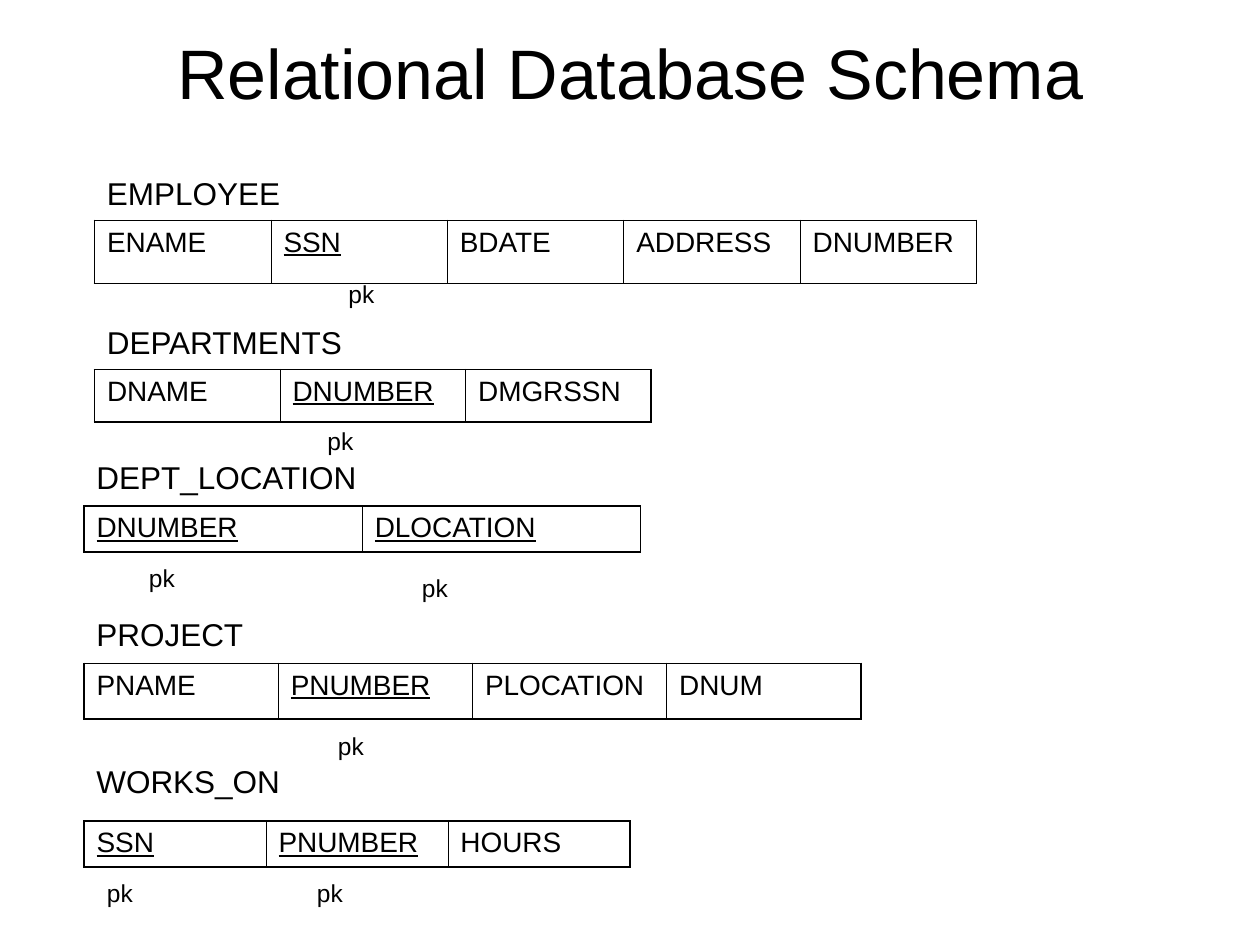
import pptx
import pptx.dml.color
import pptx.enum.text
import pptx.oxml
import pptx.oxml.ns
import pptx.util

TITLE = "Relational Database Schema"
FONT = "Arial"
BLACK = "000000"
OUTER_LINE, INNER_LINE = 1.08, 0.45  # points

# All places and sizes are in grid steps of 1/12 inch.
# keys: columns of the primary key; marks: left and top of each "pk" label
RELATIONS = [
    dict(name="EMPLOYEE", left=9, name_top=16, name_width=24,
         top=21, column_width=16.8, height=6,
         columns=["ENAME", "SSN", "BDATE", "ADDRESS", "DNUMBER"],
         keys=["SSN"], marks=[(32, 26)]),
    dict(name="DEPARTMENTS", left=9, name_top=30.2, name_width=30,
         top=35.2, column_width=17.67, height=5,
         columns=["DNAME", "DNUMBER", "DMGRSSN"],
         keys=["DNUMBER"], marks=[(30, 40)]),
    dict(name="DEPT_LOCATION", left=8, name_top=43, name_width=30,
         top=48.2, column_width=26.5, height=4.4,
         columns=["DNUMBER", "DLOCATION"],
         keys=["DNUMBER", "DLOCATION"], marks=[(13, 53), (39, 54)]),
    dict(name="PROJECT", left=8, name_top=58, name_width=30,
         top=63.2, column_width=18.5, height=5.3,
         columns=["PNAME", "PNUMBER", "PLOCATION", "DNUM"],
         keys=["PNUMBER"], marks=[(31, 69)]),
    dict(name="WORKS_ON", left=8, name_top=72, name_width=30,
         top=78.2, column_width=17.33, height=4.4,
         columns=["SSN", "PNUMBER", "HOURS"],
         keys=["SSN", "PNUMBER"], marks=[(9, 83), (29, 83)]),
]


def grid(steps):
    return pptx.util.Inches(steps / 12)


def color(value):
    return pptx.dml.color.RGBColor.from_string(value)


def write(text_frame, text, size, underline=False, align=None):
    paragraph = text_frame.paragraphs[0]
    paragraph.alignment = align
    run = paragraph.add_run()
    run.text = text
    run.font.name = FONT
    run.font.size = pptx.util.Pt(size)
    run.font.underline = underline
    run.font.color.rgb = color(BLACK)


def add_label(slide, text, left, top, width, height, size):
    shape = slide.shapes.add_textbox(grid(left), grid(top), grid(width), grid(height))
    shape.text_frame.word_wrap = True
    write(shape.text_frame, text, size)


def set_borders(cell, **widths):
    properties = cell._tc.get_or_add_tcPr()
    for index, (side, width) in enumerate(widths.items()):
        line = pptx.oxml.parse_xml(
            f'<a:ln{side} {pptx.oxml.ns.nsdecls("a")} w="{pptx.util.Pt(width)}">'
            f'<a:solidFill><a:srgbClr val="{BLACK}"/></a:solidFill></a:ln{side}>')
        properties.insert(index, line)


def add_relation(slide, relation):
    columns = relation["columns"]
    last = len(columns) - 1
    frame = slide.shapes.add_table(
        1, len(columns), grid(relation["left"]), grid(relation["top"]),
        grid(relation["column_width"] * len(columns)), grid(relation["height"]))
    table = frame.table
    table.first_row = table.horz_banding = False
    for index, name in enumerate(columns):
        table.columns[index].width = grid(relation["column_width"])
        cell = table.cell(0, index)
        cell.fill.background()
        set_borders(cell,
                    L=OUTER_LINE if index == 0 else INNER_LINE,
                    R=OUTER_LINE if index == last else INNER_LINE,
                    T=OUTER_LINE, B=OUTER_LINE)
        write(cell.text_frame, name, 16, underline=name in relation["keys"])


def main():
    presentation = pptx.Presentation()
    presentation.slide_width = pptx.util.Inches(10)
    presentation.slide_height = pptx.util.Inches(7.5)
    slide = presentation.slides.add_slide(presentation.slide_layouts[5])

    # Title
    title = slide.shapes.title
    title.left, title.top, title.width, title.height = map(grid, (6, 3.6, 108, 6.4))
    title.text_frame.vertical_anchor = pptx.enum.text.MSO_ANCHOR.MIDDLE
    write(title.text_frame, TITLE, 40, align=pptx.enum.text.PP_ALIGN.CENTER)

    # Relations with their names and primary key marks
    for relation in RELATIONS:
        add_relation(slide, relation)
        add_label(slide, relation["name"], relation["left"], relation["name_top"],
                  relation["name_width"], 4.8, 18)
        for left, top in relation["marks"]:
            add_label(slide, "pk", left, top, 8, 4, 14)

    presentation.save("out.pptx")


if __name__ == "__main__":
    main()
